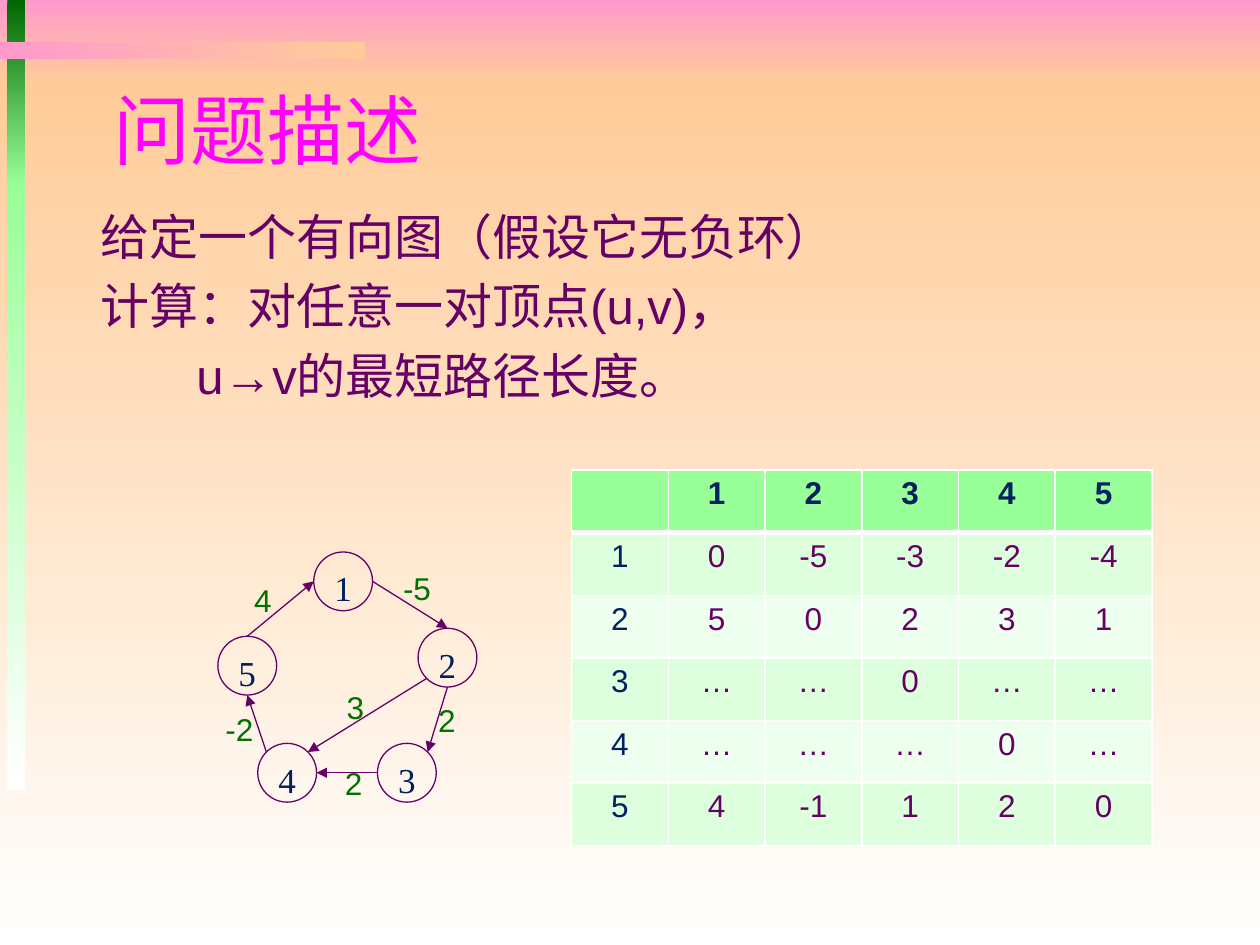
"""Build the slide that states the all-pairs shortest path problem."""
from math import sqrt

from lxml.etree import SubElement
from pptx import Presentation
from pptx.dml.color import RGBColor
from pptx.enum.shapes import MSO_CONNECTOR as Link, MSO_SHAPE as Form
from pptx.enum.text import MSO_ANCHOR as Anchor, PP_ALIGN as Align
from pptx.oxml.ns import qn
from pptx.util import Pt

COLORS = {
    "pink": "FF99CC", "peach": "FFCC99", "white": "FFFFFF",
    "forest": "006600", "mint": "99FF99", "magenta": "FF00FF",
    "plum": "660066", "navy": "002060", "weight": "007200",
    "odd": "DEFFDE", "even": "EFFFEF",
}
BANDS = [
    (0, 0, 720, 48, "pink", "peach", 270),
    (0, 48, 720, 492, "peach", "white", 270),
    (4.2, 0, 10, 106, "forest", "mint", 270),
    (4.2, 105, 10, 346.5, "mint", "white", 270),
    (0, 24, 208.5, 9.8, "pink", "peach", 0),
]
DIAMETER = 33.6
NODES = {
    "1": (179.3, 315.4), "5": (124.5, 363.6), "3": (215.7, 424.8),
    "4": (147.3, 424.8), "2": (238.9, 359),
}
DIAGONAL = sqrt(0.5)
SIDES = {
    "top": (0, -1), "bottom": (0, 1), "left": (-1, 0), "right": (1, 0),
    "top left": (-DIAGONAL, -DIAGONAL), "top right": (DIAGONAL, -DIAGONAL),
    "bottom left": (-DIAGONAL, DIAGONAL),
}
EDGES = [
    ("5", "top", "1", "left", "4", (138.2, 328.5)),
    ("1", "right", "2", "top", "-5", (223.2, 321.8)),
    ("2", "bottom left", "4", "top right", "3", (191, 389.7)),
    ("4", "top left", "5", "bottom", "-2", (121.7, 402)),
    ("2", "bottom", "3", "top right", "2", (243.3, 397.2)),
    ("3", "left", "4", "right", "2", (190, 433)),
]
DISTANCES = [
    ["", "1", "2", "3", "4", "5"],
    ["1", "0", "-5", "-3", "-2", "-4"],
    ["2", "5", "0", "2", "3", "1"],
    ["3", "…", "…", "0", "…", "…"],
    ["4", "…", "…", "…", "0", "…"],
    ["5", "4", "-1", "1", "2", "0"],
]


def rgb(name):
    return RGBColor.from_string(COLORS[name])


def write(frame, *lines, size=18, font="Arial", color="plum", bold=False,
          align=Align.LEFT, before=0, anchor=None, wrap=True):
    frame.word_wrap = wrap
    if anchor is not None:
        frame.vertical_anchor = anchor
    for index, line in enumerate(lines):
        paragraph = frame.add_paragraph() if index else frame.paragraphs[0]
        paragraph.alignment = align
        paragraph.space_before = Pt(before)
        run = paragraph.add_run()
        run.text = line
        run.font.size, run.font.name, run.font.bold = Pt(size), font, bold
        run.font.color.rgb = rgb(color)


def add_text(slide, box, *lines, **style):
    frame = slide.shapes.add_textbox(*map(Pt, box)).text_frame
    write(frame, *lines, **style)
    return frame


def add_band(slide, left, top, width, height, start, end, angle):
    band = slide.shapes.add_shape(Form.RECTANGLE, Pt(left), Pt(top), Pt(width), Pt(height))
    band.shadow.inherit = False
    band.line.fill.background()
    band.fill.gradient()
    band.fill.gradient_angle = angle
    for stop, name in zip(band.fill.gradient_stops, (start, end)):
        stop.color.rgb = rgb(name)


def add_node(slide, label, left, top):
    node = slide.shapes.add_shape(Form.OVAL, Pt(left), Pt(top), Pt(DIAMETER), Pt(DIAMETER))
    node.shadow.inherit = False
    node.fill.background()
    node.line.color.rgb = rgb("plum")
    node.line.width = Pt(0.75)
    write(node.text_frame, label, size=20, font="Times New Roman", color="navy",
          align=Align.CENTER, anchor=Anchor.TOP, wrap=False)


def rim_point(label, side):
    radius = DIAMETER / 2
    return [Pt(corner + radius + radius * step)
            for corner, step in zip(NODES[label], SIDES[side])]


def add_edge(slide, source, exit_side, target, entry_side):
    edge = slide.shapes.add_connector(
        Link.STRAIGHT, *rim_point(source, exit_side), *rim_point(target, entry_side))
    edge.line.color.rgb = rgb("plum")
    edge.line.width = Pt(0.75)
    SubElement(edge.line._get_or_add_ln(), qn("a:tailEnd"), type="triangle")
    SubElement(edge._element.spPr, qn("a:effectLst"))


def add_border(cell, side, width):
    line = SubElement(cell._tc.get_or_add_tcPr(), qn(f"a:ln{side}"), w=str(Pt(width)))
    SubElement(SubElement(line, qn("a:solidFill")), qn("a:srgbClr"), val=COLORS["white"])


def add_distances(slide, left, top, width, height):
    size = len(DISTANCES)
    table = slide.shapes.add_table(size, size, Pt(left), Pt(top), Pt(width), Pt(height)).table
    for index in range(size):
        table.columns[index].width = Pt(width / size)
        table.rows[index].height = Pt(height / size)
    for row, values in enumerate(DISTANCES):
        shade = "mint" if row == 0 else "odd" if row % 2 else "even"
        for column, value in enumerate(values):
            cell = table.cell(row, column)
            for side in "LRTB":
                heavy = (row, side) in ((0, "B"), (1, "T"))
                add_border(cell, side, 3 if heavy else 1)
            cell.fill.solid()
            cell.fill.fore_color.rgb = rgb(shade)
            write(cell.text_frame, value, bold=row == 0, align=Align.CENTER,
                  color="plum" if row and column else "navy")


def main():
    deck = Presentation()
    deck.slide_width, deck.slide_height = Pt(720), Pt(540)
    slide = deck.slides.add_slide(deck.slide_layouts[6])
    for band in BANDS:
        add_band(slide, *band)
    add_text(slide, (57.6, 41, 612, 65), "问题描述", size=44, font="Roboto Condensed",
             color="magenta", anchor=Anchor.MIDDLE)
    statement = add_text(
        slide, (50.6, 114.5, 638, 397), "给定一个有向图（假设它无负环）",
        "计算：对任意一对顶点(u,v)，", "u→v的最短路径长度。", size=28, before=6)
    statement.paragraphs[-1]._p.get_or_add_pPr().set("marL", str(Pt(54.5)))
    for label, corner in NODES.items():
        add_node(slide, label, *corner)
    for *ends, weight, corner in EDGES:
        add_edge(slide, *ends)
        add_text(slide, (*corner, 49, 29), weight, color="weight")
    add_distances(slide, 326.6, 268.6, 331.8, 214.8)
    deck.save("out.pptx")


if __name__ == "__main__":
    main()
